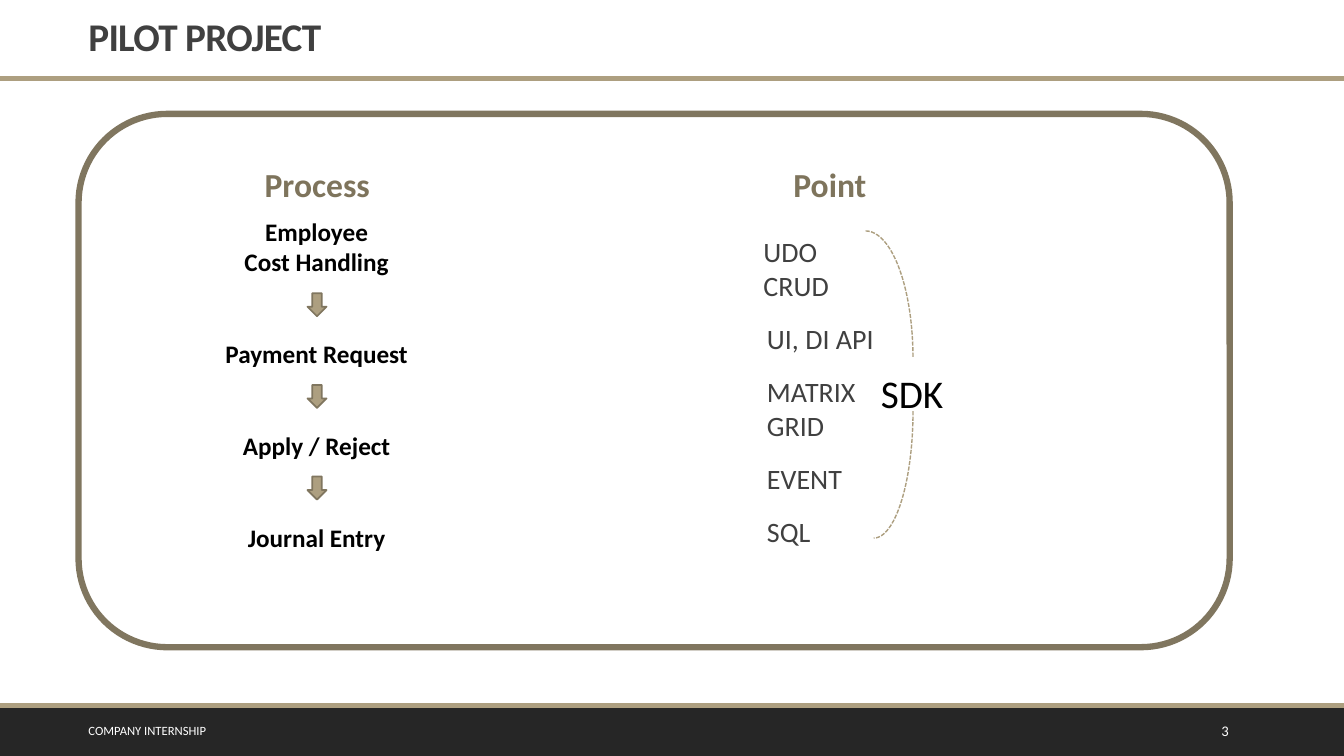
"""Build the pilot project slide with its process steps and key points."""
from pptx import Presentation
from pptx.dml.color import RGBColor
from pptx.enum.dml import MSO_LINE
from pptx.enum.shapes import MSO_CONNECTOR, MSO_SHAPE
from pptx.enum.text import MSO_ANCHOR, PP_ALIGN
from pptx.oxml.ns import qn
from pptx.util import Cm, Pt
from lxml import etree

RECTANGLE, ROUNDED = MSO_SHAPE.RECTANGLE, MSO_SHAPE.ROUNDED_RECTANGLE
ARC, DOWN_ARROW = MSO_SHAPE.ARC, MSO_SHAPE.DOWN_ARROW
STRAIGHT, DASHED = MSO_CONNECTOR.STRAIGHT, MSO_LINE.SQUARE_DOT
LEFT, CENTER = PP_ALIGN.LEFT, PP_ALIGN.CENTER
TOP, MIDDLE = MSO_ANCHOR.TOP, MSO_ANCHOR.MIDDLE

TITLE = "PILOT PROJECT"
FOOTER = "COMPANY INTERNSHIP"
PAGE = "3"
STEPS = ["Employee\nCost Handling", "Payment Request", "Apply / Reject", "Journal Entry"]
POINTS = ["UDO\nCRUD", "UI, DI API", "MATRIX\nGRID", "EVENT", "SQL"]
HEADINGS = [("Process", 6.05), ("Point", 18.97)]
SUMMARY = "SDK"

THEME = {
    "font": "Calibri",
    "dark": "262626", "tan": "AD9F80", "brown": "80765F", "heading": "7E745C",
    "body": "404040", "black": "000000", "white": "FFFFFF",
    "title_size": 28, "heading_size": 24, "point_size": 20, "step_size": 18,
    "page_size": 10.5, "footer_size": 9,
}
WIDTH, HEIGHT = 33.87, 19.05
RULES = [1.98, 17.78]
ARROW_TOP, ARROW_PITCH = 7.39, 2.31
ARCS = [((20.62, 5.82, 2.39, 6.4), (162, 0)), ((21.03, 7.16, 1.98, 6.4), (0, 54))]


def color(name):
    return RGBColor.from_string(THEME[name])


def set_all(target, values):
    for name, value in values.items():
        setattr(target, name, value)


def add_shape(slide, kind, box, fill=None, line=None, weight=1, dash=None):
    shape = slide.shapes.add_shape(kind, *map(Cm, box))
    shape.shadow.inherit = False
    if fill:
        shape.fill.solid()
        shape.fill.fore_color.rgb = color(fill)
    else:
        shape.fill.background()
    if line:
        shape.line.color.rgb = color(line)
        set_all(shape.line, {"width": Pt(weight), "dash_style": dash})
    else:
        shape.line.fill.background()
    return shape


def add_rule(slide, top):
    rule = slide.shapes.add_connector(STRAIGHT, 0, Cm(top), Cm(WIDTH), Cm(top))
    rule.line.color.rgb = color("tan")
    rule.line.width = Pt(3.5)
    etree.SubElement(rule._element.spPr, qn("a:effectLst"))


def add_text(slide, box, lines, size, ink, bold=False, align=LEFT, anchor=TOP,
             before=0, after=0, margin=0.25):
    frame = slide.shapes.add_textbox(*map(Cm, box)).text_frame
    set_all(frame, {"word_wrap": True, "vertical_anchor": anchor,
                    "margin_left": Cm(margin), "margin_right": Cm(margin)})
    for index, line in enumerate(lines):
        paragraph = frame.paragraphs[0] if index == 0 else frame.add_paragraph()
        paragraph.text = line
        set_all(paragraph, {"alignment": align, "space_after": Pt(after),
                            "space_before": Pt(before if index else 0)})
        for run in paragraph.runs:
            set_all(run.font, {"name": THEME["font"], "size": Pt(THEME[size]), "bold": bold})
            run.font.color.rgb = color(ink)
    return frame


def build():
    presentation = Presentation()
    set_all(presentation, {"slide_width": Cm(WIDTH), "slide_height": Cm(HEIGHT)})
    slide = presentation.slides.add_slide(presentation.slide_layouts[6])

    add_shape(slide, RECTANGLE, (0, RULES[1], WIDTH, HEIGHT - RULES[1]), "dark")
    for top in RULES:
        add_rule(slide, top)
    title = add_text(slide, (1.98, 0, 31.88, 1.98), [TITLE], "title_size", "body", True,
                     anchor=MIDDLE).paragraphs[0]
    title.line_spacing = 0.9
    title.runs[0].font._element.set("spc", "-50")
    add_text(slide, (30.53, 17.91, 2.16, 1.02), [PAGE], "page_size", "white", anchor=MIDDLE)
    add_text(slide, (1.98, 17.91, 18.95, 1.02), [FOOTER], "footer_size", "white", anchor=MIDDLE)
    add_shape(slide, ROUNDED, (1.98, 2.87, 29.01, 13.44), line="brown", weight=4.5)

    points = add_text(slide, (19.08, 5.79, 5.74, 8.33), POINTS, "point_size", "body",
                      before=12, after=2, margin=0)
    for index, paragraph in enumerate(points.paragraphs):
        paragraph._p.get_or_add_pPr().set("marL", str(Cm(0.25 if index else 0.16)))
    add_text(slide, (21.95, 9.19, 2.18, 1.02), [SUMMARY], "title_size", "black")
    for box, angles in ARCS:
        arc = add_shape(slide, ARC, box, line="tan", dash=DASHED)
        for index, angle in enumerate(angles):
            arc.adjustments[index] = angle

    add_text(slide, (5.16, 5.33, 5.64, 8.71), STEPS, "step_size", "black", True, CENTER, before=44)
    for index in range(len(STEPS) - 1):
        top = ARROW_TOP + index * ARROW_PITCH
        add_shape(slide, DOWN_ARROW, (7.75, top, 0.48, 0.58), "tan", "brown", 1.25)
    for heading, left in HEADINGS:
        add_text(slide, (left, 4.01, 3.89, 1.27), [heading], "heading_size", "heading", True, CENTER)
    presentation.save("out.pptx")


if __name__ == "__main__":
    build()
